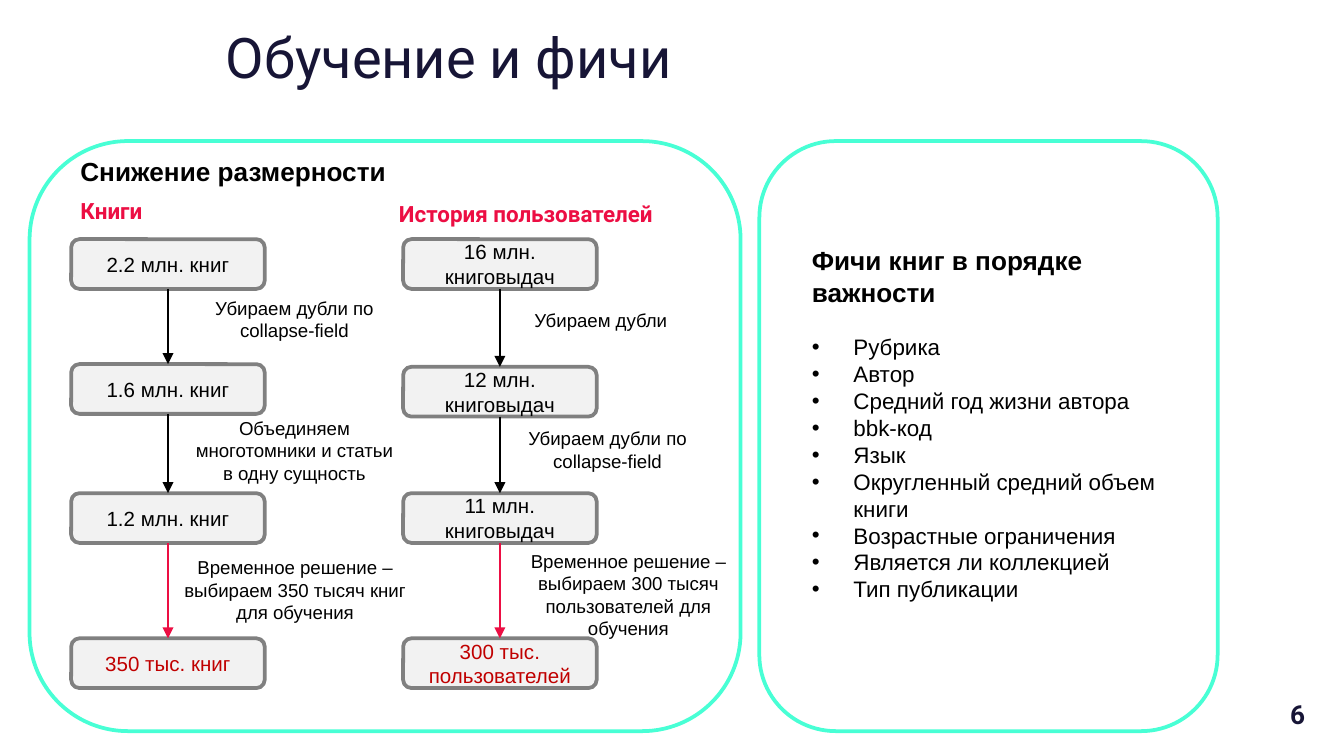
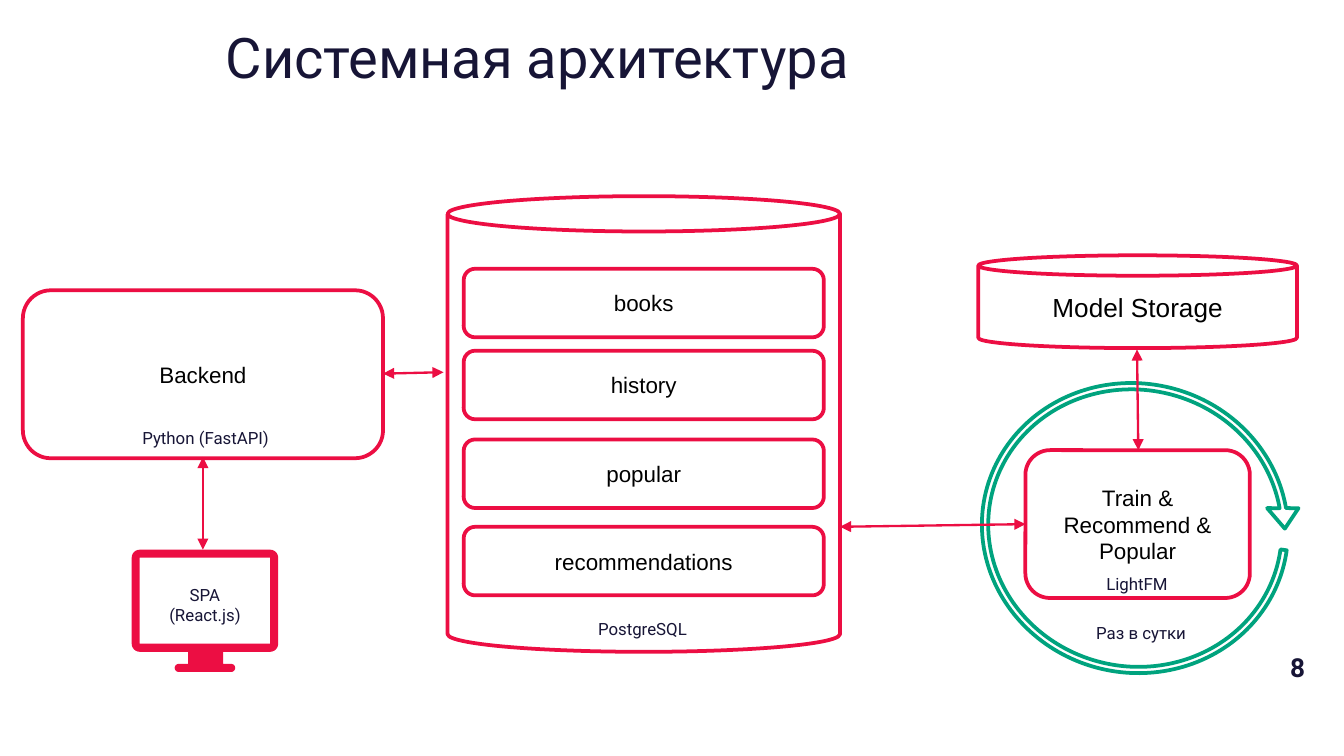
import math
from dataclasses import dataclass
from typing import Any

from lxml import etree
from pptx import Presentation
from pptx import util as u
from pptx.dml.color import RGBColor
from pptx.enum import shapes, text
from pptx.oxml import ns

NAVY = RGBColor(0x17, 0x15, 0x36)
RED = RGBColor(0xEC, 0x0E, 0x43)
DARK = RGBColor(0xC0, 0x00, 0x00)
MINT = RGBColor(0x48, 0xFF, 0xD5)
GREEN = RGBColor(0x00, 0xA3, 0x7E)
GRAY = RGBColor(0x80, 0x80, 0x80)
PALE = RGBColor(0xF2, 0xF2, 0xF2)
WHITE = RGBColor(0xFF, 0xFF, 0xFF)
BLACK = RGBColor(0x00, 0x00, 0x00)

KIND = shapes.MSO_SHAPE
LEFT, MID = text.PP_ALIGN.LEFT, text.PP_ALIGN.CENTER
TOP, CENTER, BASE = (text.MSO_ANCHOR.TOP, text.MSO_ANCHOR.MIDDLE,
                     text.MSO_ANCHOR.BOTTOM)

Area = tuple[float, float, float, float]
Point = tuple[float, float]


@dataclass(frozen=True)
class Look:
    size: float
    color: RGBColor = BLACK
    name: str = "Arial"
    bold: bool = False
    align: Any = MID
    anchor: Any = TOP
    side: float = 0.1
    edge: float = 0.05


@dataclass(frozen=True)
class Node:
    area: Area
    line: RGBColor
    words: str = ""
    look: Look = Look(12, anchor=CENTER)
    kind: Any = KIND.ROUNDED_RECTANGLE
    fill: RGBColor = WHITE
    adjust: tuple[float, ...] = ()
    turn: float = 0


@dataclass(frozen=True)
class Note:
    words: str
    area: Area
    look: Look


@dataclass(frozen=True)
class Link:
    start: Point
    end: Point
    color: RGBColor = RED
    width: float = 1.25
    both: bool = True


@dataclass(frozen=True)
class Flow:
    left: float
    tops: tuple[float, ...]
    steps: tuple[str, ...]
    notes: tuple[Note, ...]


TITLE = Look(30, NAVY, "Roboto", align=LEFT, anchor=BASE, edge=0.1)
PAGE = Look(14, NAVY, "Roboto", True, LEFT, side=0.04, edge=0)
HEAD = Look(14, bold=True, align=LEFT)
TOPIC = Look(12, RED, "Roboto", True, LEFT)
ITEM = Look(12, align=LEFT)
STEP = Look(11, anchor=CENTER)
LAST = Look(11, DARK, anchor=CENTER)
HINT = Look(10)
TECH = Look(9, NAVY, "Roboto", edge=0.1)
STORE = Look(14, anchor=CENTER)

STEP_W, STEP_H = 1.44, 0.37
PANELS = (
    Node((0.22, 1.05, 5.29, 4.39), MINT),
    Node((5.65, 1.05, 3.41, 4.39), MINT),
)
HEADS = (
    Note("Снижение размерности", (0.5, 1.11, 2.74, 0.34), HEAD),
    Note("Книги", (0.5, 1.42, 1.86, 0.3), TOPIC),
    Note("История пользователей", (2.87, 1.44, 2.51, 0.3), TOPIC),
)
FLOWS = (
    Flow(0.53, (1.78, 2.71, 3.67, 4.75),
         ("2.2 млн. книг", "1.6 млн. книг", "1.2 млн. книг", "350 тыс. книг"),
         (Note("Убираем дубли по collapse-field",
               (1.37, 2.16, 1.64, 0.44), HINT),
          Note("Объединяем многотомники и статьи в одну сущность",
               (1.33, 3.05, 1.72, 0.61), HINT),
          Note("Временное решение – выбираем 350 тысяч книг для обучения",
               (1.26, 4.09, 1.87, 0.61), HINT))),
    Flow(3, (1.78, 2.73, 3.67, 4.75),
         ("16 млн. книговыдач", "12 млн. книговыдач", "11 млн. книговыдач",
          "300 тыс. пользователей"),
         (Note("Убираем дубли", (3.74, 2.25, 1.46, 0.27), HINT),
          Note("Убираем дубли по collapse-field",
               (3.76, 3.13, 1.52, 0.44), HINT),
          Note("Временное решение – выбираем 300 тысяч пользователей "
               "для обучения", (3.74, 4.04, 1.87, 0.77), HINT))),
)
TRAITS = (
    "Рубрика", "Автор", "Средний год жизни автора", "bbk-код", "Язык",
    "Округленный средний объем книги", "Возрастные ограничения",
    "Является ли коллекцией", "Тип публикации",
)

TABLES = ("books", "history", "popular", "recommendations")
TABLE_TOPS = (2, 2.61, 3.27, 3.92)
PARTS = (
    Node((0.17, 2.16, 2.68, 1.25), RED, "Backend"),
    Node((3.33, 1.46, 2.92, 3.39), RED, kind=KIND.CAN, adjust=(0.09,)),
    *(Node((3.45, top, 2.68, 0.51), RED, name)
      for name, top in zip(TABLES, TABLE_TOPS)),
    Node((7.28, 1.9, 2.37, 0.69), RED, "Model Storage", STORE, KIND.CAN,
         adjust=(0.22,)),
    Node((7.63, 3.35, 1.67, 1.1), RED, "Train & Recommend &\nPopular"),
    Node((7.21, 2.76, 2.47, 2.34), GREEN, kind=KIND.CIRCULAR_ARROW,
         adjust=(0.02, 4.74, 204.25, 213.86, 0.05), turn=11.9),
)
LABELS = tuple(
    Note(words, (left, top, 1.4, 0.55), TECH)
    for words, left, top in (
        ("PostgreSQL", 4.08, 4.5), ("Python (FastAPI)", 0.83, 3.08),
        ("LightFM", 7.76, 4.17), ("Раз в сутки", 7.79, 4.53))
)
LINKS = (
    Link((1.51, 3.4), (1.51, 4.09)),
    Link((2.85, 2.78), (3.3, 2.77)),
    Link((6.25, 3.92), (7.63, 3.9)),
    Link((8.46, 2.6), (8.47, 3.35)),
)
FRAME = (
    (1.04, 4.15, 0.06, 180), (2.01, 4.15, 0.06, 270), (2.01, 4.79, 0.06, 0),
    (1.66, 4.85, 0, 0), (1.66, 4.94, 0, 0),
    (1.72, 4.97, 0.03, 270), (1.72, 4.97, 0.03, 0),
    (1.33, 4.97, 0.03, 90), (1.33, 4.97, 0.03, 180),
    (1.4, 4.94, 0, 0), (1.4, 4.85, 0, 0), (1.04, 4.79, 0.06, 90),
)
SCREEN = ((1.04, 4.15), (1.04, 4.79), (2.01, 4.79), (2.01, 4.15))


def put(target: Any, values: dict[str, Any]) -> None:
    for key, value in values.items():
        setattr(target, key, value)


def scale(*nums: float) -> list[int]:
    return [u.Inches(num) for num in nums]


def place(shape: Any, area: Area) -> None:
    put(shape, dict(zip(("left", "top", "width", "height"), scale(*area))))


def style(run: Any, look: Look) -> None:
    put(run.font, {"name": look.name, "size": u.Pt(look.size),
                   "bold": look.bold})
    run.font.color.rgb = look.color


def write(shape: Any, words: str, look: Look) -> None:
    side, edge = scale(look.side, look.edge)
    frame = shape.text_frame
    put(frame, {"text": words, "word_wrap": True,
                "auto_size": text.MSO_AUTO_SIZE.NONE,
                "vertical_anchor": look.anchor,
                "margin_left": side, "margin_right": side,
                "margin_top": edge, "margin_bottom": edge})
    for para in frame.paragraphs:
        put(para, {"alignment": look.align, "space_before": u.Pt(0)})
        for run in para.runs:
            style(run, look)


def add_note(slide: Any, note: Note) -> Any:
    box = slide.shapes.add_textbox(*scale(*note.area))
    write(box, note.words, note.look)
    return box


def add_node(slide: Any, node: Node) -> None:
    shape = slide.shapes.add_shape(node.kind, *scale(*node.area))
    put(shape, {"rotation": node.turn})
    shape.shadow.inherit = False
    shape.fill.solid()
    shape.fill.fore_color.rgb = node.fill
    shape.line.color.rgb = node.line
    shape.line.width = u.Pt(2)
    for spot, value in enumerate(node.adjust):
        shape.adjustments[spot] = value
    if node.words:
        write(shape, node.words, node.look)


def add_link(slide: Any, link: Link) -> None:
    line = slide.shapes.add_connector(
        shapes.MSO_CONNECTOR.STRAIGHT, *scale(*link.start, *link.end))
    line.line.color.rgb = link.color
    line.line.width = u.Pt(link.width)
    props = line.element.spPr
    stroke = props.find(ns.qn("a:ln"))
    for end in ("headEnd", "tailEnd") if link.both else ("tailEnd",):
        etree.SubElement(stroke, ns.qn(f"a:{end}"), type="triangle")
    etree.SubElement(props, ns.qn("a:effectLst"))


def add_dot(para: Any) -> None:
    props = para._p.get_or_add_pPr()
    dent = u.Inches(0.31)
    props.set("marL", str(dent))
    props.set("indent", str(-dent))
    tint = etree.SubElement(props, ns.qn("a:buClr"))
    etree.SubElement(tint, ns.qn("a:srgbClr"), val=str(BLACK))
    etree.SubElement(props, ns.qn("a:buFont"), typeface="Arial")
    etree.SubElement(props, ns.qn("a:buChar"), char="•")


def add_page(deck: Any, title: str, number: str, top: float) -> Any:
    slide = deck.slides.add_slide(deck.slide_layouts[0])
    place(slide.shapes.title, (1.58, 0.11, 5, 0.66))
    write(slide.shapes.title, title, TITLE)
    box = add_note(slide, Note(number, (9.56, top, 0.33, 0.24), PAGE))
    run = box.text_frame.paragraphs[0].runs[0]
    run.font._element.set("spc", "50")
    return slide


def add_body(slide: Any, note: Note) -> Any:
    body = slide.placeholders[1]
    place(body, note.area)
    write(body, note.words, note.look)
    body.element.getparent().append(body.element)
    return body.text_frame


def add_flow(slide: Any, flow: Flow) -> None:
    final = len(flow.steps) - 1
    for spot, (words, top) in enumerate(zip(flow.steps, flow.tops)):
        add_node(slide, Node((flow.left, top, STEP_W, STEP_H), GRAY, words,
                             LAST if spot == final else STEP, fill=PALE))
    mid = flow.left + STEP_W / 2
    for spot, (top, low) in enumerate(zip(flow.tops, flow.tops[1:])):
        tint = RED if spot == final - 1 else BLACK
        add_link(slide, Link((mid, top + STEP_H), (mid, low), tint,
                             0.75, False))
    for note in flow.notes:
        add_note(slide, note)


def add_screen(slide: Any) -> None:
    rim = []
    for x, y, size, start in FRAME:
        for turn in range(0, 91, 15) if size else (0,):
            angle = math.radians(start + turn)
            rim.append(scale(x + size * math.cos(angle),
                             y + size * math.sin(angle)))
    hole = [scale(*point) for point in SCREEN]
    path = slide.shapes.build_freeform(*rim[0])
    path.add_line_segments(rim[1:])
    path.move_to(*hole[0])
    path.add_line_segments(hole[1:])
    shape = path.convert_to_shape()
    shape.shadow.inherit = False
    shape.fill.solid()
    shape.fill.fore_color.rgb = RED
    shape.line.fill.background()


def draw_traits(deck: Any) -> None:
    slide = add_page(deck, "Обучение и фичи", "6", 5.2)
    for panel in PANELS:
        add_node(slide, panel)
    for flow in FLOWS:
        add_flow(slide, flow)
    for head in HEADS:
        add_note(slide, head)
    frame = add_body(slide, Note("Фичи книг в порядке важности",
                                 (5.94, 1.77, 2.85, 3), HEAD))
    for spot, trait in enumerate(TRAITS):
        para = frame.add_paragraph()
        put(para, {"alignment": LEFT,
                   "space_before": u.Pt(0 if spot else 14)})
        add_dot(para)
        run = para.add_run()
        run.text = trait
        style(run, ITEM)


def draw_system(deck: Any) -> None:
    slide = add_page(deck, "Системная архитектура", "8", 4.85)
    add_screen(slide)
    add_body(slide, Note("SPA\n(React.js)", (1.14, 4.25, 0.77, 0.55), TECH))
    for part in PARTS:
        add_node(slide, part)
    for label in LABELS:
        add_note(slide, label)
    for link in LINKS:
        add_link(slide, link)


def main() -> None:
    deck = Presentation()
    wide = u.Inches(10)
    put(deck, {"slide_width": wide, "slide_height": wide * 9 // 16})
    draw_traits(deck)
    draw_system(deck)
    deck.save("out.pptx")


if __name__ == "__main__":
    main()
